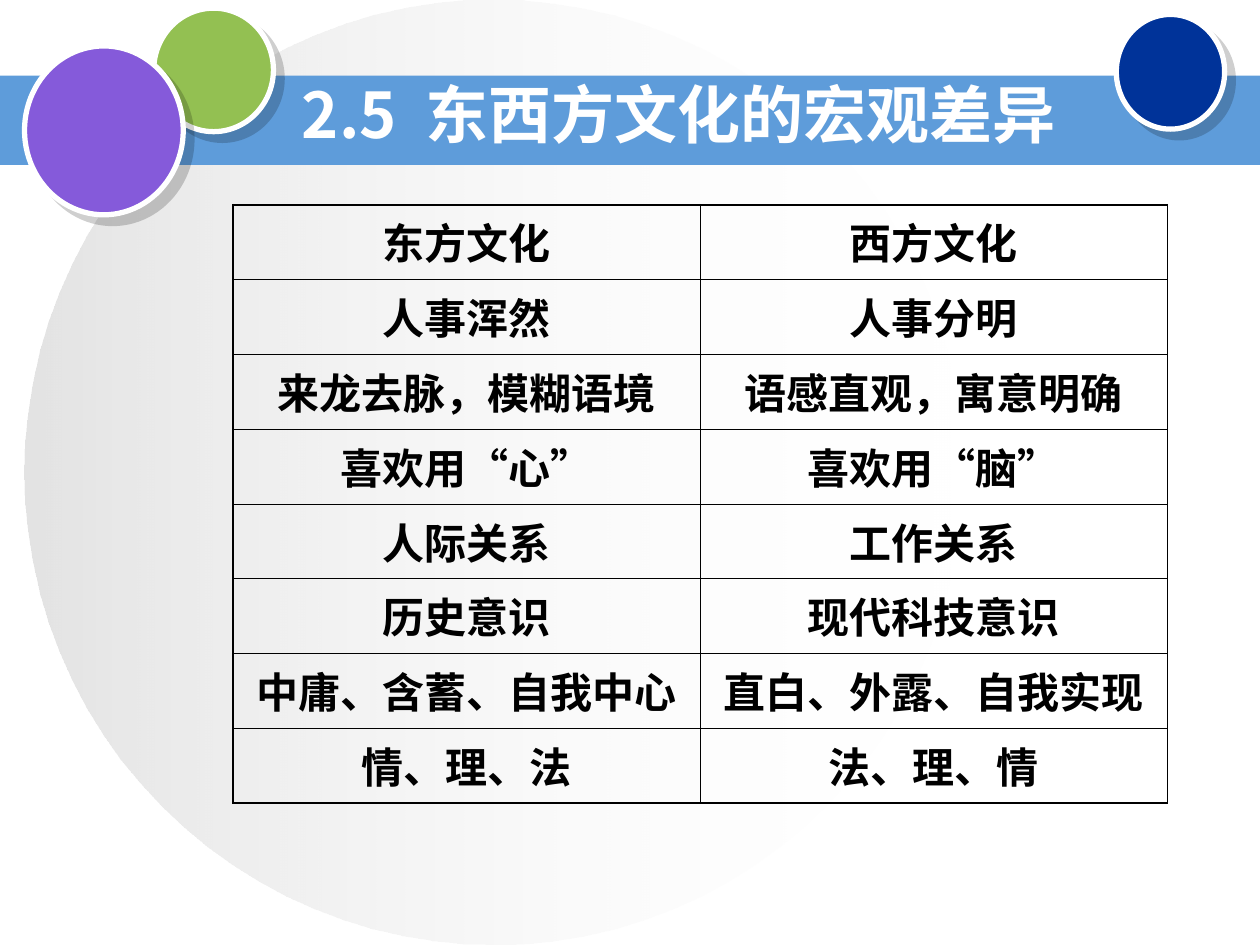
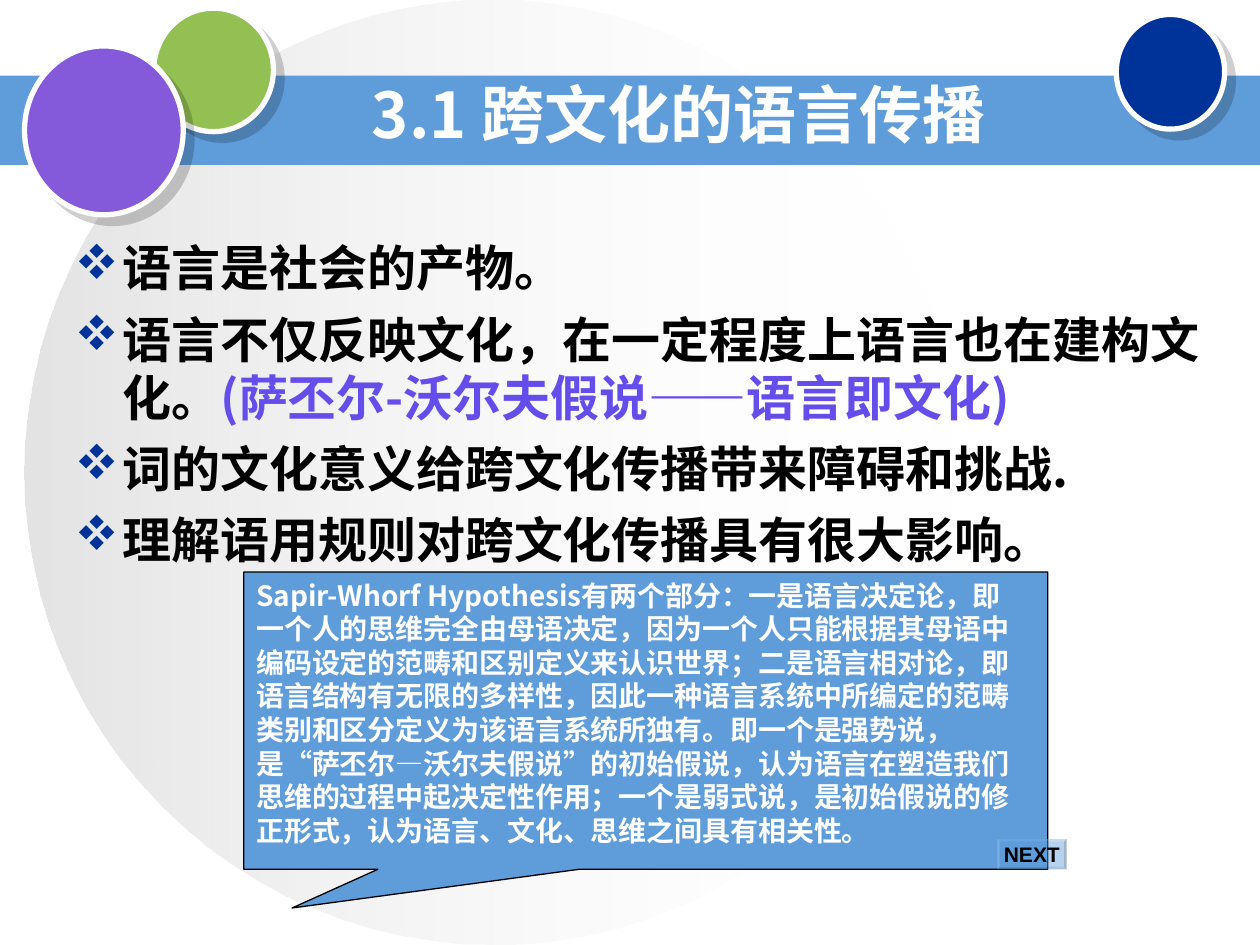
"""Builds two slides on cultural differences and language in intercultural communication."""
from lxml.etree import SubElement
from pptx import Presentation
from pptx.dml.color import RGBColor
from pptx.enum.shapes import MSO_SHAPE
from pptx.enum.text import MSO_ANCHOR, PP_ALIGN
from pptx.oxml.ns import qn
from pptx.util import Emu, Inches, Pt

COLORS = {
    "black": "000000", "white": "FFFFFF", "silver": "C0C0C0", "band": "5E9CDA",
    "green": "93C052", "navy": "003399", "purple": "855ADA", "accent": "644DEB",
}
FONT = "Noto Sans CJK SC"
COLS, ROWS = 100, 75
LINE_RATIO = 1.2

CULTURES = [
    ("东方文化", "西方文化"),
    ("人事浑然", "人事分明"),
    ("来龙去脉，模糊语境", "语感直观，寓意明确"),
    ("喜欢用“心”", "喜欢用“脑”"),
    ("人际关系", "工作关系"),
    ("历史意识", "现代科技意识"),
    ("中庸、含蓄、自我中心", "直白、外露、自我实现"),
    ("情、理、法", "法、理、情"),
]
POINTS = [
    [("语言是社会的产物。", "black")],
    [("语言不仅反映文化，在一定程度上语言也在建构文化。", "black"),
     ("(萨丕尔-沃尔夫假说——语言即文化)", "accent")],
    [("词的文化意义给跨文化传播带来障碍和挑战.", "black")],
    [("理解语用规则对跨文化传播具有很大影响。", "black")],
]
HYPOTHESIS = (
    "Sapir-Whorf Hypothesis有两个部分：一是语言决定论，即一个人的思维完全由母语决定，"
    "因为一个人只能根据其母语中编码设定的范畴和区别定义来认识世界；"
    "二是语言相对论，即语言结构有无限的多样性，"
    "因此一种语言系统中所编定的范畴类别和区分定义为该语言系统所独有。"
    "即一个是强势说，是“萨丕尔—沃尔夫假说”的初始假说，"
    "认为语言在塑造我们思维的过程中起决定性作用；"
    "一个是弱式说，是初始假说的修正形式，认为语言、文化、思维之间具有相关性。"
)


def rgb(name):
    """Return a named colour."""
    return RGBColor.from_string(COLORS[name])


def add_color(parent, name, alpha=None):
    """Append a colour element, with an opacity in percent if given."""
    clr = SubElement(parent, qn("a:srgbClr"), val=COLORS[name])
    if alpha is not None:
        SubElement(clr, qn("a:alpha"), val=str(alpha * 1000))


class Deck:
    """Holds the style and the current slide."""

    def __init__(self):
        """Open an empty 10 by 7.5 inch presentation."""
        self.prs = Presentation()
        self.prs.slide_width, self.prs.slide_height = Inches(10), Inches(7.5)
        self.s = None

    def box(self, x, y, w, h):
        """Turn grid columns and rows into lengths."""
        col, row = self.prs.slide_width / COLS, self.prs.slide_height / ROWS
        return [Emu(round(v)) for v in (x * col, y * row, w * col, h * row)]

    def shape(self, kind, at, fill, line=None, width=0):
        """Add a flat preset shape."""
        sp = self.s.shapes.add_shape(kind, *self.box(*at))
        sp.shadow.inherit = False
        sp.fill.solid()
        sp.fill.fore_color.rgb = rgb(fill)
        if line:
            sp.line.color.rgb, sp.line.width = rgb(line), Pt(width)
        else:
            sp.line.fill.background()
        return sp

    def run(self, p, text, size, color, font=FONT):
        """Add a bold run."""
        r = p.add_run()
        r.text = text
        r.font.size, r.font.bold, r.font.name = Pt(size), True, font
        r.font.color.rgb = rgb(color)
        SubElement(r.font._element, qn("a:ea"), typeface=font)
        return r

    def halo(self):
        """Add the large fading circle."""
        sp = self.shape(MSO_SHAPE.OVAL, (1.95, 0, 74.4, 75), "silver")
        sp.fill.gradient()
        sp.fill.gradient_angle = 0
        stops = sp.fill.gradient_stops
        for stop, name, alpha in zip(stops, ("silver", "white"), (44, 0)):
            stop.color.rgb = rgb(name)
            clr = stop._gs.find(qn("a:srgbClr"))
            SubElement(clr, qn("a:alpha"), val=str(alpha * 1000))

    def ball(self, at, fill):
        """Add a white-rimmed circle with a shadow."""
        sp = self.shape(MSO_SHAPE.OVAL, at, fill, "white", 3)
        effects = sp._element.spPr.find(qn("a:effectLst"))
        shadow = SubElement(effects, qn("a:outerShdw"), dist=str(Pt(7.1)),
                            dir="2700000", algn="ctr", rotWithShape="0")
        add_color(shadow, "black", 19)

    def text_box(self, at, anchor=MSO_ANCHOR.TOP):
        """Add a wrapping text box and return its frame."""
        tf = self.s.shapes.add_textbox(*self.box(*at)).text_frame
        tf.word_wrap, tf.vertical_anchor = True, anchor
        return tf

    def slide(self, number, title, gap=0):
        """Start a slide with the shared decoration and a numbered title."""
        self.s = self.prs.slides.add_slide(self.prs.slide_layouts[6])
        self.halo()
        self.shape(MSO_SHAPE.RECTANGLE, (0, 6, COLS, 7.1), "band")
        self.ball((12.2, 0.65, 9.5, 9.8), "green")
        self.ball((88.6, 1.15, 8.6, 9.1), "navy")
        self.ball((1.95, 3.65, 12.6, 13.4), "purple")
        p = self.text_box((19.35, 4.4, 69, 9.1), MSO_ANCHOR.MIDDLE).paragraphs[0]
        p.alignment = PP_ALIGN.CENTER
        for text, spacing in ((number, 0), (" ", gap), (title, 0)):
            r = self.run(p, text, 36, "white")
            if spacing:
                r.font._element.set("spc", str(spacing * 100))

    def table(self, at, rows):
        """Add a ruled table with a heavier outer frame."""
        last_row, last_col = len(rows) - 1, len(rows[0]) - 1
        frame = self.s.shapes.add_table(len(rows), len(rows[0]), *self.box(*at))
        table = frame.table
        table.first_row = table.horz_banding = False
        for i, row in enumerate(rows):
            for j, text in enumerate(row):
                cell = table.cell(i, j)
                p = cell.text_frame.paragraphs[0]
                p.alignment = PP_ALIGN.CENTER
                self.run(p, text, 24, "black")
                outer = {"L": j == 0, "R": j == last_col,
                         "T": i == 0, "B": i == last_row}
                tc_pr = cell._tc.get_or_add_tcPr()
                for side, heavy in outer.items():
                    ln = SubElement(tc_pr, qn(f"a:ln{side}"),
                                    w=str(Pt(1.08 if heavy else 0.45)))
                    add_color(SubElement(ln, qn("a:solidFill")), "black")
                cell.fill.background()

    def bullets(self, at, points, size=28):
        """Add a list with diamond bullets."""
        tf = self.text_box(at)
        for i, parts in enumerate(points):
            p = tf.add_paragraph() if i else tf.paragraphs[0]
            p.line_spacing = Pt(size * LINE_RATIO)
            if i:
                p.space_before = Pt(7)
            p_pr = p._p.get_or_add_pPr()
            p_pr.set("marL", str(Inches(0.38)))
            p_pr.set("indent", str(Inches(-0.38)))
            add_color(SubElement(p_pr, qn("a:buClr")), "navy")
            SubElement(p_pr, qn("a:buFont"), typeface="Wingdings", charset="2")
            SubElement(p_pr, qn("a:buChar"), char="v")
            for text, color in parts:
                self.run(p, text, size, color)

    def callout(self, at, text, size=16):
        """Add a speech box pointing down to the left."""
        sp = self.shape(MSO_SHAPE.RECTANGULAR_CALLOUT, at, "band", "black", 0.75)
        sp.adjustments[0], sp.adjustments[1] = -0.44, 0.63
        tf = sp.text_frame
        tf.word_wrap, tf.vertical_anchor = True, MSO_ANCHOR.TOP
        tf.margin_right = Inches(0.24)
        p = tf.paragraphs[0]
        p.alignment, p.line_spacing = PP_ALIGN.LEFT, Pt(size * LINE_RATIO)
        self.run(p, text, size, "white")

    def button(self, at, label):
        """Add a translucent bevelled button."""
        sp = self.shape(MSO_SHAPE.BEVEL, at, "band")
        sp.adjustments[0] = 0.08
        clr = sp._element.spPr.find(qn("a:solidFill")).find(qn("a:srgbClr"))
        SubElement(clr, qn("a:alpha"), val="45000")
        tf = sp.text_frame
        tf.word_wrap, tf.vertical_anchor = False, MSO_ANCHOR.MIDDLE
        p = tf.paragraphs[0]
        p.alignment = PP_ALIGN.CENTER
        self.run(p, label, 12, "black", "Arial")


def main():
    """Build and save both slides."""
    deck = Deck()
    deck.slide("2.5", "东西方文化的宏观差异", gap=8)
    deck.table((18.5, 16.25, 74.15, 47.5), CULTURES)
    deck.slide("3.1", "跨文化的语言传播")
    deck.bullets((4.95, 18.4, 91.5, 53), POINTS)
    deck.callout((19.35, 45.4, 63.8, 23.6), HYPOTHESIS)
    deck.button((79.15, 66.6, 5.5, 2.4), "NEXT")
    deck.prs.save("out.pptx")


if __name__ == "__main__":
    main()
